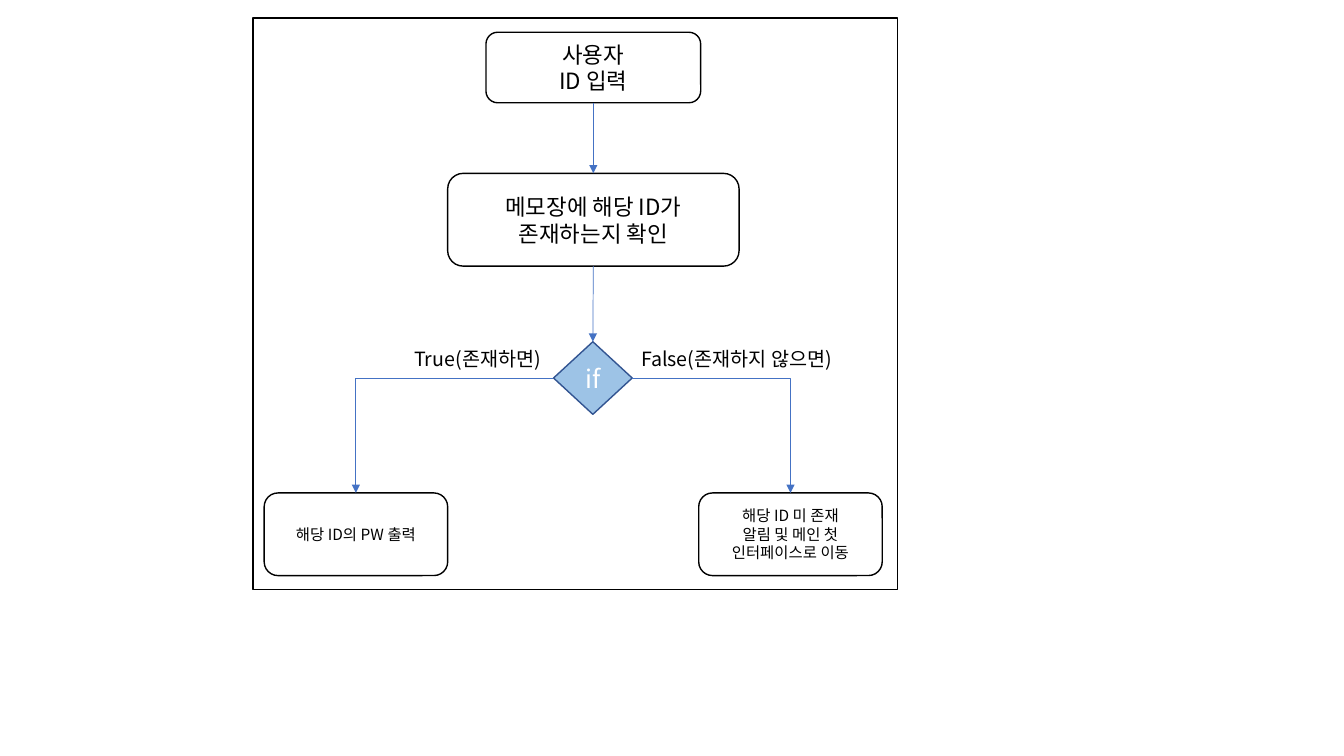
from pptx import Presentation
from pptx.dml.color import RGBColor
from pptx.enum.shapes import MSO_CONNECTOR as CONN, MSO_SHAPE as SHAPE
from pptx.enum.text import MSO_ANCHOR as ANCHOR, MSO_AUTO_SIZE as AUTO, PP_ALIGN as ALIGN
from pptx.oxml.ns import qn
from pptx.util import Pt
from lxml.etree import SubElement

PX = 9144  # 100 px to the inch
FONT = "Noto Sans CJK KR"
BLACK, WHITE, BLUE = "000000", "FFFFFF", "4472C4"
TOP, LEFT, BOTTOM, RIGHT = range(4)


def px(*lengths):
    return [n * PX for n in lengths]


def rgb(value):
    return RGBColor.from_string(value)


def write(tf, lines, size, color, align):
    for i, line in enumerate(lines):
        p = tf.paragraphs[0] if i == 0 else tf.add_paragraph()
        p.alignment = align
        r = p.add_run()
        r.text = line
        for name, value in {"size": Pt(size), "name": FONT}.items():
            setattr(r.font, name, value)
        r.font.color.rgb = rgb(color)
        SubElement(r.font._element, qn("a:ea")).set("typeface", FONT)


def add_node(s, kind, box, lines=(), size=16, color=BLACK, fill=None, line=BLACK):
    sp = s.shapes.add_shape(kind, *px(*box))
    sp.shadow.inherit = False
    if fill:
        sp.fill.solid()
        sp.fill.fore_color.rgb = rgb(fill)
    else:
        sp.fill.background()
    sp.line.color.rgb = rgb(line)
    sp.line.width = Pt(1)
    sp.text_frame.vertical_anchor = ANCHOR.MIDDLE
    write(sp.text_frame, lines, size, color, ALIGN.CENTER)
    return sp


def add_label(s, box, text):
    tf = s.shapes.add_textbox(*px(*box)).text_frame
    for name, value in {"word_wrap": True, "auto_size": AUTO.SHAPE_TO_FIT_TEXT}.items():
        setattr(tf, name, value)
    write(tf, [text], 14, BLACK, ALIGN.LEFT)


def add_arrow(s, start, start_side, end, bent=False):
    c = s.shapes.add_connector(CONN.ELBOW if bent else CONN.STRAIGHT, 0, 0, 0, 0)
    c.begin_connect(start, start_side)
    c.end_connect(end, TOP)
    c.line.color.rgb = rgb(BLUE)
    c.line.width = Pt(0.5)
    sp_pr = c.element.spPr
    if bent:  # a single corner
        sp_pr.find(qn("a:prstGeom")).set("prst", "bentConnector2")
    SubElement(sp_pr.find(qn("a:ln")), qn("a:tailEnd")).set("type", "triangle")
    SubElement(sp_pr, qn("a:effectLst"))


def add_flowchart(s, x, y, w, h):
    # Frame
    add_node(s, SHAPE.RECTANGLE, (x, y, w, h))

    # Input, check and decision down the middle
    rounded = SHAPE.ROUNDED_RECTANGLE
    entry = add_node(s, rounded, (x + 231, y + 14, 213, 70), ["사용자", "ID 입력"])
    check = add_node(s, rounded, (x + 193, y + 154, 289, 92),
                     ["메모장에 해당 ID가", "존재하는지 확인"])
    decision = add_node(s, SHAPE.FLOWCHART_DECISION, (x + 298, y + 321, 78, 72),
                        ["if"], 18, WHITE, "9DC3E6", "325491")
    add_arrow(s, entry, BOTTOM, check)
    add_arrow(s, check, BOTTOM, decision)

    # Branches: side, result left, result lines, label left, label width, label
    branches = [
        (LEFT, 11, ["해당 ID의 PW 출력"], 150, 148, "True(존재하면)"),
        (RIGHT, 442, ["해당 ID 미 존재", "알림 및 메인 첫", "인터페이스로 이동"],
         375, 213, "False(존재하지 않으면)"),
    ]
    for side, left, lines, label_left, label_w, label in branches:
        result = add_node(s, rounded, (x + left, y + 471, 182, 82), lines, 11)
        add_arrow(s, decision, side, result, bent=True)
        add_label(s, (x + label_left, y + 321, label_w, 34), label)


def main():
    prs = Presentation()
    prs.slide_width, prs.slide_height = px(1333, 750)
    s = prs.slides.add_slide(prs.slide_layouts[6])
    add_flowchart(s, 251, 18, 639, 567)
    prs.save("out.pptx")


if __name__ == "__main__":
    main()
